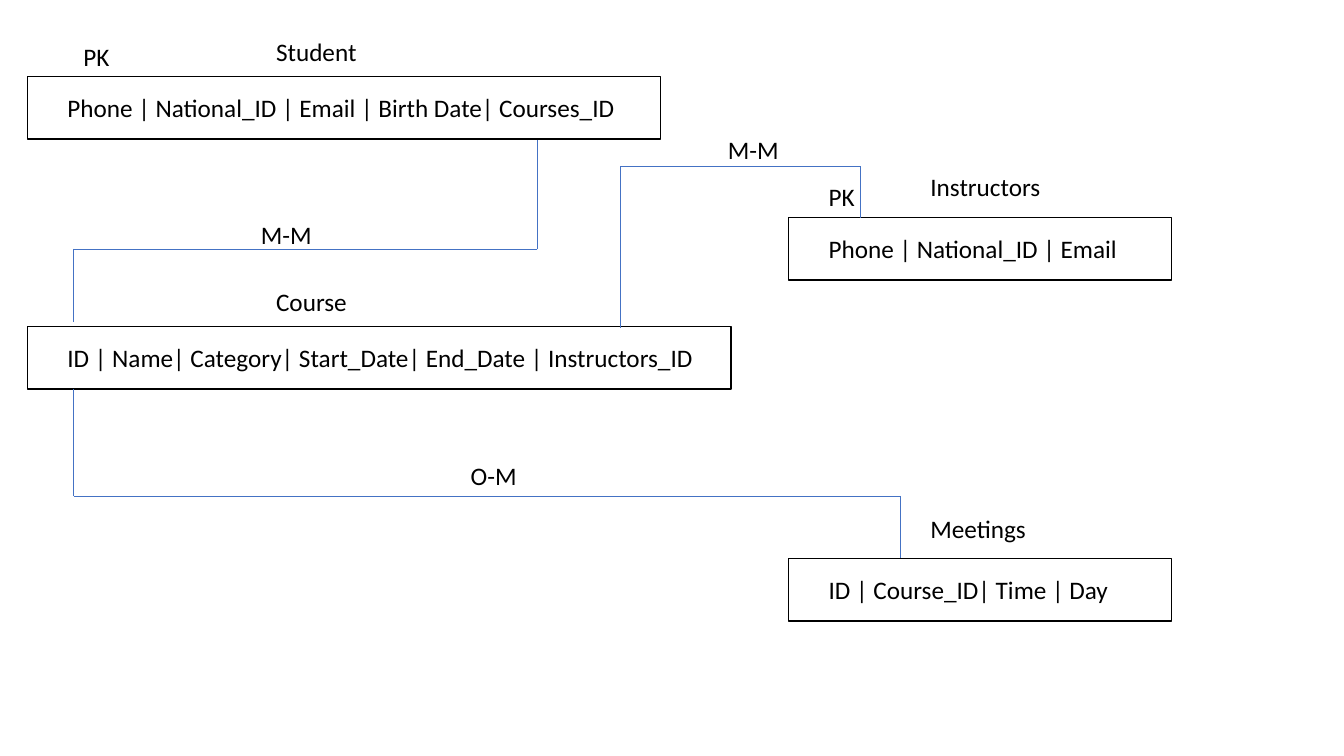
import pptx
import pptx.dml.color
import pptx.enum.shapes
import pptx.enum.text
import pptx.oxml.ns
import pptx.util
from lxml import etree

Inches = pptx.util.Inches
BLACK = pptx.dml.color.RGBColor(0x00, 0x00, 0x00)
WHITE = pptx.dml.color.RGBColor(0xFF, 0xFF, 0xFF)
BLUE = pptx.dml.color.RGBColor(0x44, 0x72, 0xC4)

LABEL_FONT = {"name": "Calibri", "size": pptx.util.Pt(18)}
LABEL_FRAME = {
    "word_wrap": True,
    "auto_size": pptx.enum.text.MSO_AUTO_SIZE.SHAPE_TO_FIT_TEXT,
}
LABEL_HEIGHT = 0.4
TABLE_HEIGHT = 0.62

# name, left, top, width, fields, fields width, name left, name top
ENTITIES = [
    ("Student", 0.27, 0.76, 6.28,
     "Phone | National_ID | Email | Birth Date| Courses_ID", 6.1, 2.64, 0.31),
    ("Course", 0.27, 3.24, 6.98,
     "ID | Name| Category| Start_Date| End_Date | Instructors_ID", 6.89, 2.64, 2.79),
    ("Instructors", 7.82, 2.16, 3.8,
     "Phone | National_ID | Email", 3.22, 9.13, 1.65),
    ("Meetings", 7.82, 5.54, 3.8,
     "ID | Course_ID| Time | Day", 3.22, 9.13, 5.04),
]

KEYS = [(8.12, 1.75), (0.73, 0.36)]

RELATIONS = [
    ("M-M", 2.49, 2.13, [(5.33, 1.39), (5.33, 2.47), (0.73, 2.47), (0.73, 3.19)]),
    ("M-M", 7.12, 1.28, [(6.15, 3.25), (6.15, 1.65), (8.53, 1.65), (8.53, 2.16)]),
    ("O-M", 4.57, 4.52, [(0.73, 3.86), (0.73, 4.92), (8.93, 4.92), (8.93, 5.54)]),
]


def apply_format(target, values):
    for name, value in values.items():
        setattr(target, name, value)


def add_label(page, text, left, top, width):
    box = page.shapes.add_textbox(
        Inches(left), Inches(top), Inches(width), Inches(LABEL_HEIGHT))
    apply_format(box.text_frame, LABEL_FRAME)
    span = box.text_frame.paragraphs[0].add_run()
    span.text = text
    apply_format(span.font, LABEL_FONT)
    span.font.color.rgb = BLACK


def add_entity(page, name, left, top, width, fields, fields_width, name_left, name_top):
    box = page.shapes.add_shape(
        pptx.enum.shapes.MSO_SHAPE.RECTANGLE,
        Inches(left), Inches(top), Inches(width), Inches(TABLE_HEIGHT))
    box.shadow.inherit = False
    box.fill.solid()
    box.fill.fore_color.rgb = WHITE
    box.line.color.rgb = BLACK
    box.line.width = pptx.util.Pt(1)
    add_label(page, fields, left + 0.3, top + 0.11, fields_width)
    add_label(page, name, name_left, name_top, 3.36)


def add_segment(page, start, end):
    segment = page.shapes.add_connector(
        pptx.enum.shapes.MSO_CONNECTOR.STRAIGHT,
        *(Inches(value) for value in start + end))
    segment.line.color.rgb = BLUE
    segment.line.width = pptx.util.Pt(0.5)
    properties = segment.element.find(pptx.oxml.ns.qn("p:spPr"))
    etree.SubElement(properties, pptx.oxml.ns.qn("a:effectLst"))


def add_relation(page, cardinality, left, top, corners):
    for start, end in zip(corners, corners[1:]):
        add_segment(page, start, end)
    add_label(page, cardinality, left, top, 0.83)


def main():
    deck = pptx.Presentation()
    deck.slide_width = Inches(13.33)
    deck.slide_height = Inches(7.5)
    page = deck.slides.add_slide(deck.slide_layouts[6])
    for entity in ENTITIES:
        add_entity(page, *entity)
    for left, top in KEYS:
        add_label(page, "PK", left, top, 0.54)
    for relation in RELATIONS:
        add_relation(page, *relation)
    deck.save("out.pptx")


if __name__ == "__main__":
    main()
